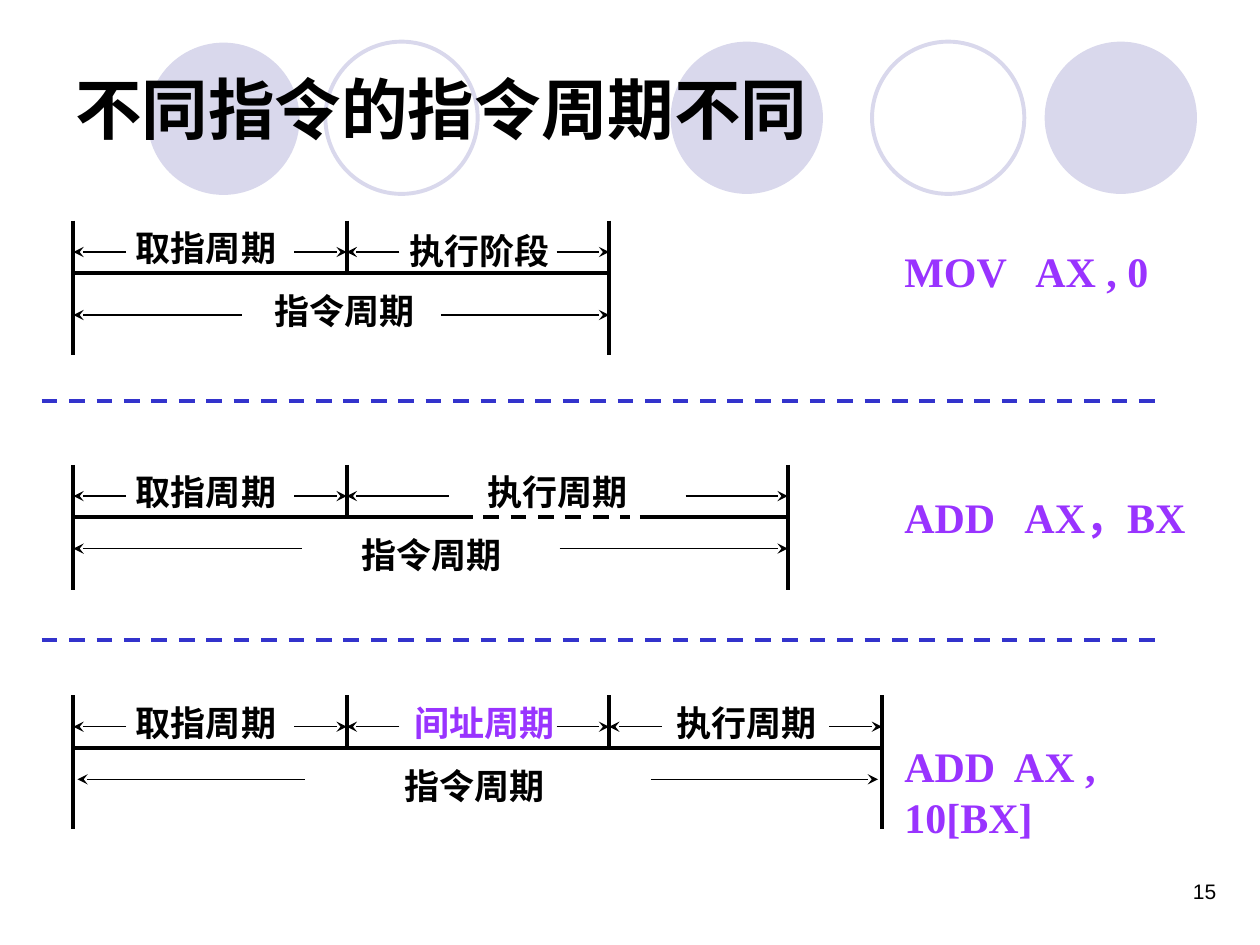
from lxml import etree
from pptx import Presentation
from pptx.dml.color import RGBColor
from pptx.enum.dml import MSO_LINE
from pptx.enum.shapes import MSO_CONNECTOR, MSO_SHAPE
from pptx.enum.text import MSO_ANCHOR, PP_ALIGN
from pptx.oxml.ns import qn
from pptx.util import Cm, Pt

DASH = MSO_LINE.DASH
LINE = MSO_CONNECTOR.STRAIGHT
OVAL = MSO_SHAPE.OVAL
MID = MSO_ANCHOR.MIDDLE
LEFT, RIGHT = PP_ALIGN.LEFT, PP_ALIGN.RIGHT
SERIF, SANS = "Times New Roman", "Arial"
BLACK, PURPLE, BLUE, LILAC = "000000", "9933FF", "3333CC", "D9D8EC"

TITLE = "不同指令的指令周期不同"
OVALS = [(13.52, 0.84, True), (21.06, 0.84, True), (2.97, 0.86, True),
         (17.58, 0.84, False), (6.56, 0.84, False)]
SPLITS = [8.08, 12.9]
CODES = [("MOV   AX , 0", 4.83, 5.72), ("ADD   AX，BX", 9.78, 7.42),
         ("ADD  AX , 10[BX]", 14.81, 6.99)]

START = 1.48
BASE, PHASE, WHOLE = 1.06, 0.63, 1.27
CYCLES = [
    {"top": 4.45, "low": 2.71, "mid": 1.9, "arm": 3.39, "pad": 0,
     "name": ("指令周期", 5.28), "gap": None,
     "parts": [("取指周期", 2.49, 0, 6.99, 1.06, BLACK),
               ("执行阶段", 8.0, 0.05, 12.28, 1.06, BLACK)]},
    {"top": 9.37, "low": 2.52, "mid": 1.69, "arm": 4.6, "pad": 0,
     "name": ("指令周期", 7.04), "gap": (9.53, 9.74, 12.7, 12.9),
     "parts": [("取指周期", 2.49, 0, 6.99, 1.06, BLACK),
               ("执行周期", 9.58, 0, 15.88, 2.06, BLACK)]},
    {"top": 14.02, "low": 2.7, "mid": 1.69, "arm": 4.58, "pad": 0.08,
     "name": ("指令周期", 7.9), "gap": None,
     "parts": [("取指周期", 2.49, 0, 6.99, 1.06, BLACK),
               ("间址周期", 8.1, 0, 12.28, 1.06, PURPLE),
               ("执行周期", 13.39, 0, 17.78, 1.06, BLACK)]},
]

deck = Presentation()
deck.slide_width, deck.slide_height = Cm(25.4), Cm(19.05)
slide = deck.slides.add_slide(deck.slide_layouts[6])
shapes = slide.shapes


def tint(code):
    return RGBColor.from_string(code)


def rule(x1, y1, x2, y2, color=BLACK, width=2.25, dash=None):
    line = shapes.add_connector(LINE, Cm(x1), Cm(y1), Cm(x2), Cm(y2))
    line.line.color.rgb = tint(color)
    line.line.width = Pt(width)
    if dash:
        line.line.dash_style = dash
    etree.SubElement(line._element.spPr, qn("a:effectLst"))
    return line


def arrow(x1, x2, y):
    line = rule(x1, y, x2, y, width=0.75)
    etree.SubElement(line.line._get_or_add_ln(), qn("a:tailEnd"), type="stealth")


def span(left, right, y, arm):
    arrow(left + arm, left, y)
    arrow(right - arm, right, y)


def label(text, x, y, w, h, size, color=BLACK, font=SERIF, bold=True,
          wrap=True, align=LEFT):
    box = shapes.add_textbox(Cm(x), Cm(y), Cm(w), Cm(h))
    frame = box.text_frame
    frame.word_wrap = wrap
    para = frame.paragraphs[0]
    para.alignment = align
    run = para.add_run()
    run.text = text
    run.font.size = Pt(size)
    run.font.name = font
    run.font.bold = bold
    run.font.color.rgb = tint(color)
    return frame


def term(text, x, y, color=BLACK):
    label(text, x, y, 3.33, 1.11, 20, color, wrap=False)


def cycle(row):
    top = row["top"]
    base, low = top + BASE, top + row["low"]
    end = row["parts"][-1][3]
    if row["gap"]:
        a, b, c, d = row["gap"]
        rule(START, base, a, base)
        rule(b, base, c, base, dash=DASH)
        rule(d, base, end, base)
    else:
        rule(START, base, end, base)
    rule(START, top, START, low)
    left = START
    for text, x, drop, right, arm, color in row["parts"]:
        rule(right, top, right, low if right == end else base)
        span(left, right, top + PHASE, arm)
        term(text, x, top + drop, color)
        left = right
    pad = row["pad"]
    span(START + pad, end - pad, top + row["mid"], row["arm"])
    text, x = row["name"]
    term(text, x, top + WHOLE)


for x, y, full in OVALS:
    disc = shapes.add_shape(OVAL, Cm(x), Cm(y), Cm(3.07), Cm(3.07))
    disc.shadow.inherit = False
    if full:
        disc.fill.solid()
        disc.fill.fore_color.rgb = tint(LILAC)
        disc.line.fill.background()
    else:
        disc.fill.background()
        disc.line.color.rgb = tint(LILAC)
        disc.line.width = Pt(2.25)

label("15", 18.85, 17.58, 5.92, 1.27, 12, font=SANS, bold=False, align=RIGHT)
head = label(TITLE, 1.27, 1.19, 23.5, 1.98, 38, font=SANS)
head.vertical_anchor = MID
for row in CYCLES:
    cycle(row)
for y in SPLITS:
    rule(0.84, y, 23.29, y, BLUE, dash=DASH)
for text, y, w in CODES:
    label(text, 17.98, y, w, 1.27, 24, PURPLE)

deck.save("out.pptx")
